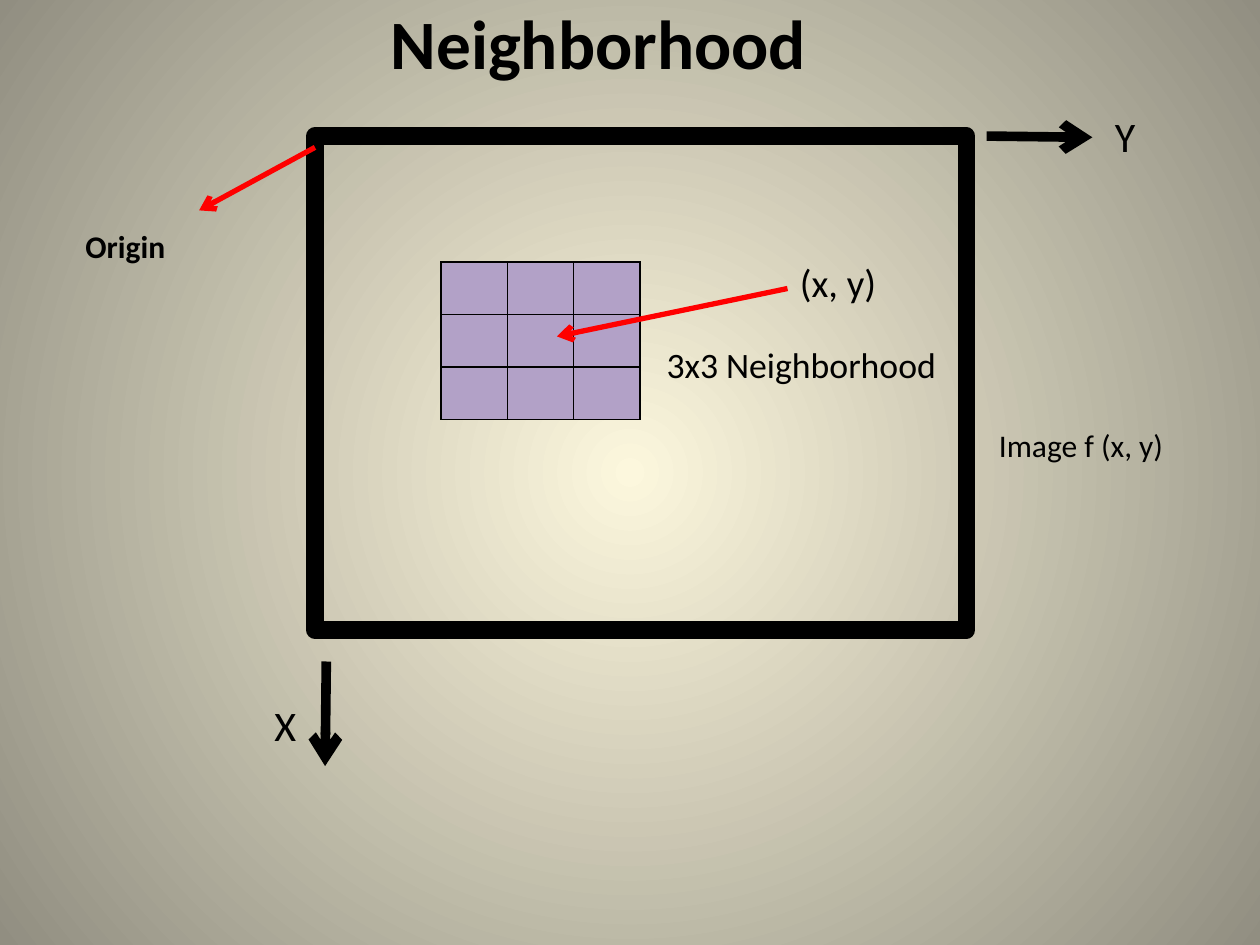
from lxml import etree
from pptx import Presentation
from pptx.dml.color import RGBColor
from pptx.enum.shapes import MSO_CONNECTOR, MSO_SHAPE
from pptx.enum.text import MSO_ANCHOR, MSO_AUTO_SIZE, PP_ALIGN
from pptx.oxml.ns import qn
from pptx.util import Inches, Pt

LINE = MSO_CONNECTOR.STRAIGHT
RECT = MSO_SHAPE.RECTANGLE
TOP, MIDDLE = MSO_ANCHOR.TOP, MSO_ANCHOR.MIDDLE
FIXED = MSO_AUTO_SIZE.NONE
LEFT, CENTER = PP_ALIGN.LEFT, PP_ALIGN.CENTER

COLORS = {
    "ink": "000000",
    "mark": "FF0000",
    "cell": "B2A1C7",
    "glow": "FCF7DD",
    "edge": "918E81",
}


def color(name):
    return RGBColor.from_string(COLORS[name])


class Board:
    """The style and the current slide."""

    font = "Calibri"

    def __init__(self, slide):
        self.slide = slide

    def backdrop(self, inner, outer):
        """Fill the background with a circular gradient."""
        fill = self.slide.background.fill
        fill.gradient()
        for stop, name, place in zip(fill.gradient_stops, (inner, outer), (0, 1)):
            stop.color.rgb = color(name)
            stop.position = place
        grad = self.slide.element.find(".//" + qn("a:gradFill"))
        grad.remove(grad.find(qn("a:lin")))
        ring = etree.SubElement(grad, qn("a:path"), path="circle")
        etree.SubElement(ring, qn("a:fillToRect"),
                         l="50000", t="50000", r="50000", b="50000")

    def letter(self, shape, text, size, bold=False, align=LEFT, anchor=TOP):
        """Set one styled line of text in a shape."""
        frame = shape.text_frame
        frame.word_wrap = True
        frame.auto_size = FIXED
        frame.vertical_anchor = anchor
        para = frame.paragraphs[0]
        props = para._p.get_or_add_pPr()
        props.set("marL", "0")
        props.set("indent", "0")
        etree.SubElement(props, qn("a:buNone"))
        para.alignment = align
        para.space_before = Pt(0)
        run = para.add_run()
        run.text = text
        run.font.name = self.font
        run.font.size = Pt(size)
        run.font.bold = bold
        run.font.color.rgb = color("ink")

    def holder(self, index, box, text, size, **style):
        """Move and fill a placeholder of the layout."""
        shape = self.slide.placeholders[index]
        shape.left, shape.top, shape.width, shape.height = map(Inches, box)
        self.letter(shape, text, size, **style)

    def label(self, box, text, size, **style):
        shape = self.slide.shapes.add_textbox(*map(Inches, box))
        self.letter(shape, text, size, **style)

    def frame(self, box, width):
        shape = self.slide.shapes.add_shape(RECT, *map(Inches, box))
        shape.shadow.inherit = False
        shape.fill.background()
        shape.line.color.rgb = color("ink")
        shape.line.width = Pt(width)
        etree.SubElement(shape.line._get_or_add_ln(), qn("a:round"))

    def arrow(self, start, end, name, width):
        ends = map(Inches, (*start, *end))
        link = self.slide.shapes.add_connector(LINE, *ends)
        link.line.color.rgb = color(name)
        link.line.width = Pt(width)
        etree.SubElement(link.line._get_or_add_ln(), qn("a:tailEnd"), type="arrow")
        etree.SubElement(link._element.spPr, qn("a:effectLst"))

    def grid(self, box, rows, cols):
        table = self.slide.shapes.add_table(rows, cols, *map(Inches, box)).table
        table.first_row = table.horz_banding = False
        for cell in table.iter_cells():
            self.border(cell)
            cell.fill.solid()
            cell.fill.fore_color.rgb = color("cell")

    def border(self, cell):
        props = cell._tc.get_or_add_tcPr()
        for side in ("lnL", "lnR", "lnT", "lnB"):
            line = etree.SubElement(props, qn("a:" + side), w=str(Pt(1)))
            fill = etree.SubElement(line, qn("a:solidFill"))
            etree.SubElement(fill, qn("a:srgbClr"), val=COLORS["ink"])


def main():
    deck = Presentation()
    deck.slide_width, deck.slide_height = Inches(10), Inches(7.5)
    board = Board(deck.slides.add_slide(deck.slide_layouts[1]))

    board.backdrop("glow", "edge")
    board.holder(0, (0, 0, 9.5, 0.67), "Neighborhood", 39.6,
                 bold=True, align=CENTER, anchor=MIDDLE)
    board.holder(1, (5.19, 2.67, 2.5, 0.44), "3x3 Neighborhood", 20.4)

    board.frame((2.5, 1.08, 5.17, 3.92), 10)
    board.grid((3.5, 2.08, 1.58, 1.25), 3, 3)

    for start, end, name, width in (
        ((7.83, 1.08), (8.67, 1.09), "ink", 5.5),
        ((2.59, 5.25), (2.58, 6.08), "ink", 5.5),
        ((6.25, 2.29), (4.42, 2.67), "mark", 3),
        ((2.5, 1.17), (1.58, 1.67), "mark", 3),
    ):
        board.arrow(start, end, name, width)

    for box, text, size, bold in (
        ((8.75, 0.83, 0.5, 0.58), "Y", 24, False),
        ((2.08, 5.5, 0.5, 0.58), "X", 24, False),
        ((6.25, 2, 0.83, 0.58), "(x, y)", 22.2, False),
        ((0.58, 1.75, 1, 0.4), "Origin", 18, True),
        ((7.83, 3.33, 1.67, 0.4), "Image f (x, y)", 18, False),
    ):
        board.label(box, text, size, bold=bold)

    deck.save("out.pptx")


if __name__ == "__main__":
    main()
